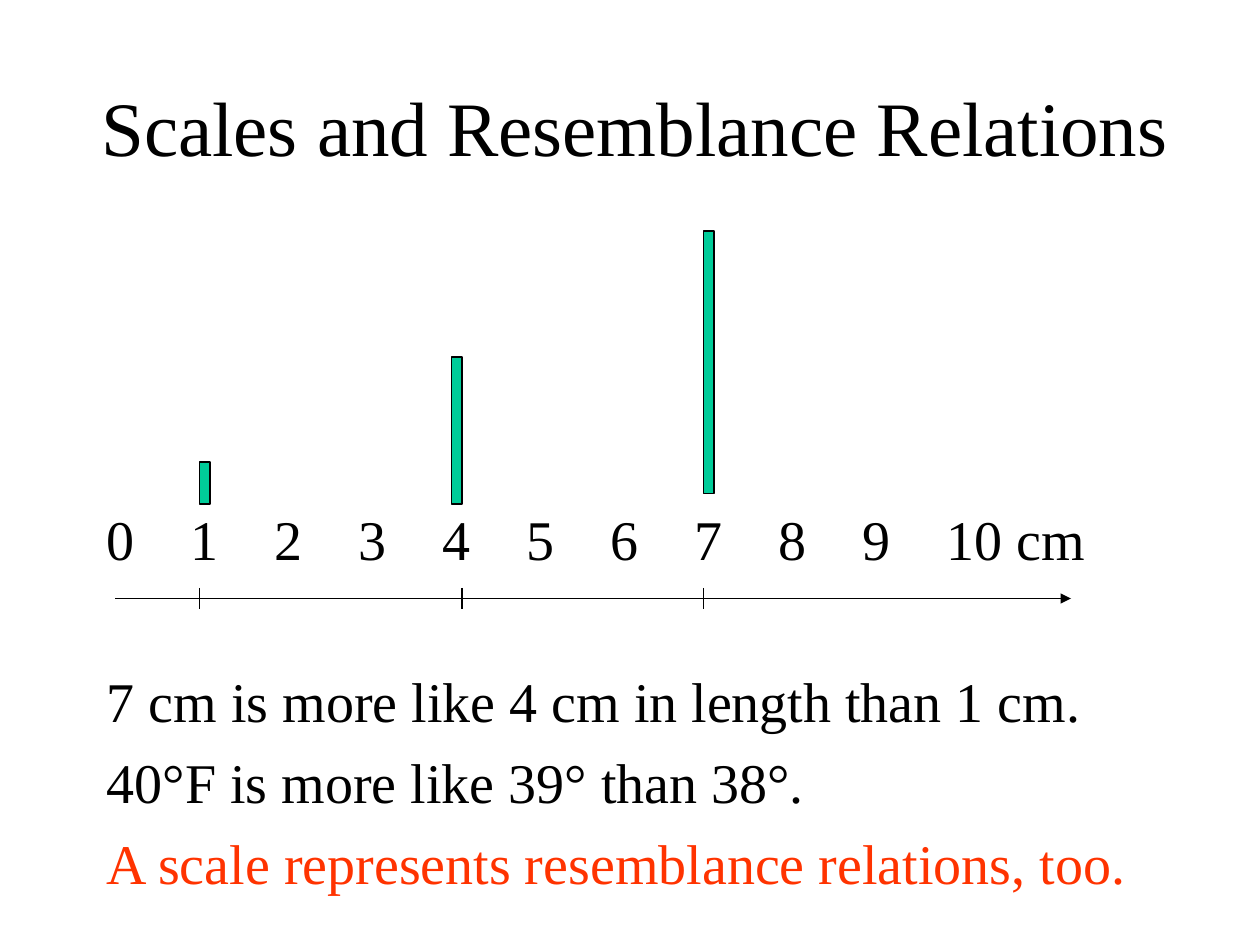
import pptx
import pptx.util
import pptx.dml.color
import pptx.enum.shapes
import pptx.enum.text
import pptx.oxml.ns
import lxml.etree
from dataclasses import dataclass

Pt = pptx.util.Pt
RGB = pptx.dml.color.RGBColor.from_string
ALIGN = pptx.enum.text.PP_ALIGN
ANCHOR = pptx.enum.text.MSO_ANCHOR
qn = pptx.oxml.ns.qn


@dataclass(frozen=True)
class Theme:
    font: str = "Times New Roman"
    ink: str = "000000"
    accent: str = "FF3300"
    bar: str = "00CC99"
    title_size: float = 44
    body_size: float = 32
    space_before: float = 8
    line_width: float = 0.75


class SlideBuilder:
    def __init__(self, prs, theme):
        self.theme = theme
        self.s = prs.slides.add_slide(prs.slide_layouts[6])

    def text(self, box, lines, size, align=ALIGN.LEFT, anchor=ANCHOR.TOP, tabs=()):
        tf = self.s.shapes.add_textbox(*map(Pt, box)).text_frame
        for name, value in {"word_wrap": True, "vertical_anchor": anchor}.items():
            setattr(tf, name, value)
        for i, (line, color) in enumerate(lines):
            p = tf.add_paragraph() if i else tf.paragraphs[0]
            p.alignment = align
            if i:
                p.space_before = Pt(self.theme.space_before)
            if tabs:
                tab_list = lxml.etree.SubElement(p._p.get_or_add_pPr(), qn("a:tabLst"))
                for pos in tabs:
                    lxml.etree.SubElement(tab_list, qn("a:tab"), pos=str(Pt(pos)), algn="l")
            r = p.add_run()
            r.text = line
            for name, value in {"name": self.theme.font, "size": Pt(size)}.items():
                setattr(r.font, name, value)
            r.font.color.rgb = RGB(color)

    def outline(self, sp):
        sp.line.color.rgb = RGB(self.theme.ink)
        sp.line.width = Pt(self.theme.line_width)

    def line(self, x1, y1, x2, y2, arrow=False):
        sp = self.s.shapes.add_connector(
            pptx.enum.shapes.MSO_CONNECTOR.STRAIGHT, *map(Pt, (x1, y1, x2, y2)))
        self.outline(sp)
        if arrow:
            lxml.etree.SubElement(sp.line._get_or_add_ln(), qn("a:tailEnd"), type="triangle")
        lxml.etree.SubElement(sp._element.spPr, qn("a:effectLst"))

    def bar(self, x, top, width, height):
        sp = self.s.shapes.add_shape(
            pptx.enum.shapes.MSO_SHAPE.RECTANGLE, *map(Pt, (x, top, width, height)))
        sp.shadow.inherit = False
        sp.fill.solid()
        sp.fill.fore_color.rgb = RGB(self.theme.bar)
        self.outline(sp)


def main():
    theme = Theme()
    prs = pptx.Presentation()
    prs.slide_width, prs.slide_height = Pt(720), Pt(540)
    b = SlideBuilder(prs, theme)

    b.text((42, 24, 642, 96), [("Scales and Resemblance Relations", theme.ink)],
           theme.title_size, ALIGN.CENTER, ANCHOR.MIDDLE)

    unit = 48
    scale = "\t".join(map(str, range(11))) + " cm"
    b.text((54, 284.6, 612, 46), [(scale, theme.ink)], theme.body_size,
           tabs=[unit * n for n in range(1, 11)])
    b.text((54, 377.2, 612, 138.8), [
        ("7 cm is more like 4 cm in length than 1 cm.", theme.ink),
        ("40°F is more like 39° than 38°.", theme.ink),
        ("A scale represents resemblance relations, too.", theme.accent),
    ], theme.body_size)

    axis_y = 342
    b.line(66, axis_y, 612, axis_y, arrow=True)
    for tick_x in (114, 264, 402):
        b.line(tick_x, axis_y - 6, tick_x, axis_y + 6)
    for value, top, height in ((1, 264, 24), (4, 204, 84), (7, 132, 150)):
        b.bar(66 + unit * value, top, 6, height)

    prs.save("out.pptx")


if __name__ == "__main__":
    main()
